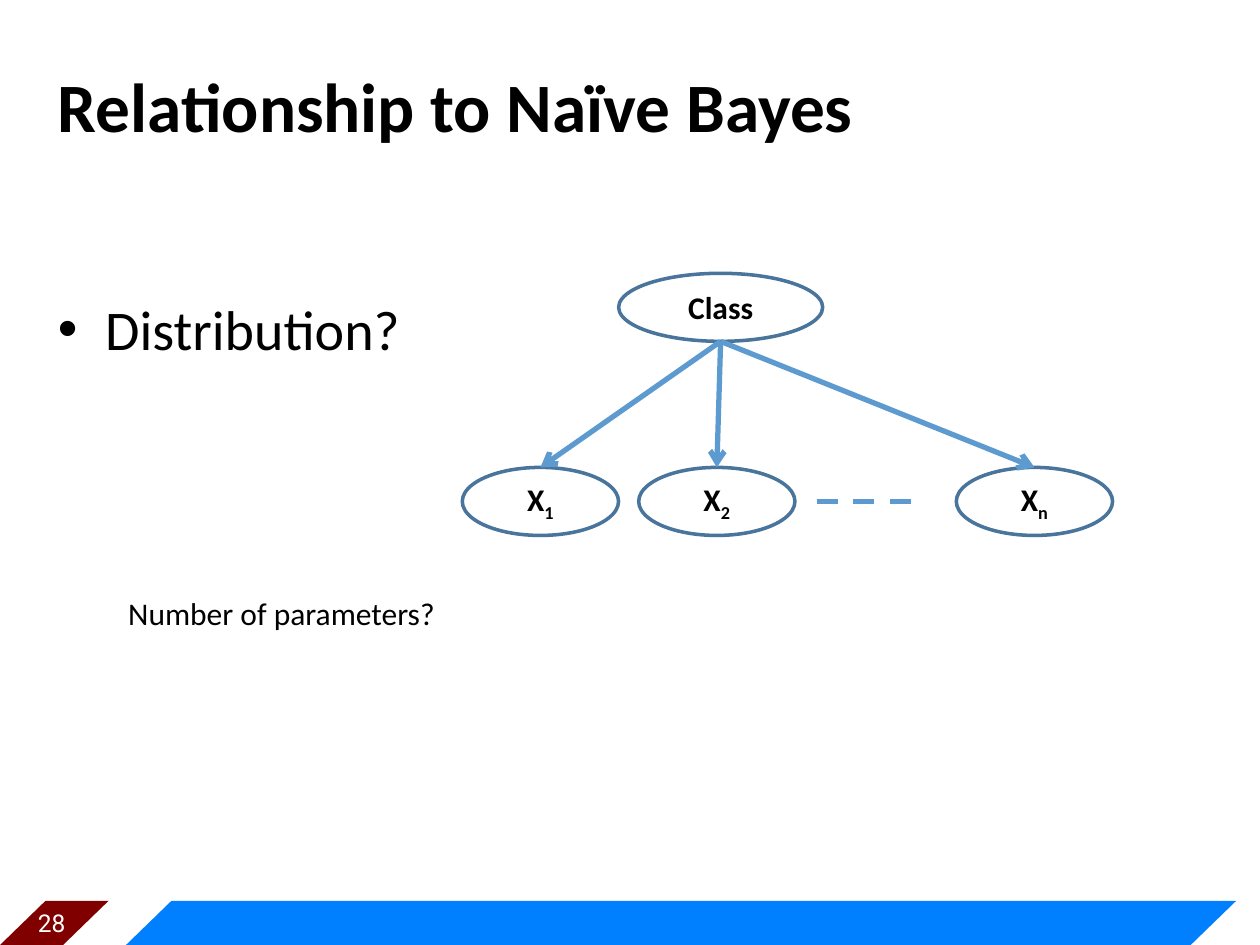
from pptx import Presentation
from pptx.dml.color import RGBColor
from pptx.enum.dml import MSO_LINE
from pptx.enum.shapes import MSO_CONNECTOR, MSO_SHAPE
from pptx.enum.text import MSO_ANCHOR, PP_ALIGN
from pptx.oxml.ns import qn
from pptx.util import Pt
from lxml import etree

STRAIGHT = MSO_CONNECTOR.STRAIGHT
DASH = MSO_LINE.DASH
ELLIPSE = MSO_SHAPE.OVAL
SLANT = MSO_SHAPE.PARALLELOGRAM
TOP, MIDDLE = MSO_ANCHOR.TOP, MSO_ANCHOR.MIDDLE
LEFT, CENTER = PP_ALIGN.LEFT, PP_ALIGN.CENTER
COLORS = {"text": "000000", "white": "FFFFFF", "bar": "0080FF",
          "badge": "800000", "outline": "49749B", "arrow": "5D9ACF"}


def rgb(name):
    return RGBColor.from_string(COLORS[name])


def write(sp, text, size=18, bold=False, color="text", font="Calibri",
          align=LEFT, anchor=TOP, sub="", inset=(7.2, 3.6)):
    tf = sp.text_frame
    tf.word_wrap = True
    tf.vertical_anchor = anchor
    tf.margin_left = tf.margin_right = Pt(inset[0])
    tf.margin_top, tf.margin_bottom = Pt(inset[1]), Pt(3.6)
    p = tf.paragraphs[0]
    p.alignment = align
    for part, base in ((text, None), (sub, "-25000")):
        if part:
            r = p.add_run()
            r.text = part
            r.font.size, r.font.bold, r.font.name = Pt(size), bold, font
            r.font.color.rgb = rgb(color)
            if base:
                r.font._element.set("baseline", base)
    return p


def add_text(s, box, text, **fmt):
    return write(s.shapes.add_textbox(*map(Pt, box)), text, **fmt)


def add_slant(s, box, color):
    sp = s.shapes.add_shape(SLANT, *map(Pt, box))
    sp.adjustments[0] = 1.03
    sp.shadow.inherit = False
    sp.fill.solid()
    sp.fill.fore_color.rgb = rgb(color)
    sp.line.fill.background()


def add_node(s, box, text, sub=""):
    sp = s.shapes.add_shape(ELLIPSE, *map(Pt, box))
    sp.shadow.inherit = False
    sp.fill.background()
    sp.line.color.rgb = rgb("outline")
    sp.line.width = Pt(2)
    write(sp, text, bold=True, align=CENTER, anchor=MIDDLE, sub=sub)


def add_line(s, start, end, arrow=False):
    cxn = s.shapes.add_connector(STRAIGHT, *map(Pt, start + end))
    cxn.line.color.rgb = rgb("arrow")
    cxn.line.width = Pt(3)
    if arrow:
        etree.SubElement(cxn.line._get_or_add_ln(), qn("a:tailEnd"), type="arrow")
    else:
        cxn.line.dash_style = DASH
    etree.SubElement(cxn._element.spPr, qn("a:effectLst"))


def add_footer(s, x, y, w, h):
    add_slant(s, (x + 72, y, w - 72, h), "bar")
    add_slant(s, (x, y, 63.4, h), "badge")
    add_text(s, (x + 10, y, 42, 24.5), "28", size=14, color="white",
             font="Roboto", align=CENTER, anchor=MIDDLE)


def add_body(s, x, y, w, h):
    p = add_text(s, (x, y, w, h), "Distribution?", size=32, inset=(7.2, 50.5))
    pPr = p._p.get_or_add_pPr()
    pPr.set("marL", str(Pt(27)))
    pPr.set("indent", str(-Pt(27)))
    etree.SubElement(pPr, qn("a:buFont"), typeface="Arial")
    etree.SubElement(pPr, qn("a:buChar"), char="•")


def add_network(s, x, y, w, h):
    node_w, node_h, root_w = 89.3, 38.9, 116.6
    root_x, leaf_y = x + node_w, y + h - node_h
    leaves = (("1", x), ("2", x + 100.8), ("n", x + w - node_w))
    add_node(s, (root_x, y, root_w, node_h), "Class")
    for sub, leaf_x in leaves:
        add_node(s, (leaf_x, leaf_y, node_w, node_h), "X", sub)
    for _, leaf_x in leaves:
        add_line(s, (root_x + root_w / 2, y + node_h),
                 (leaf_x + node_w / 2, leaf_y), arrow=True)
    mid_y = leaf_y + node_h / 2
    add_line(s, (x + 202.4, mid_y), (x + 263.6, mid_y))


def main():
    prs = Presentation()
    prs.slide_width, prs.slide_height = Pt(720), Pt(540)
    s = prs.slides.add_slide(prs.slide_layouts[6])
    add_footer(s, -1.4, 514.8, 707.8, 26.6)
    add_text(s, (26, 32.4, 674.6, 55.4), "Relationship to Naïve Bayes",
             size=39.6, bold=True, anchor=MIDDLE)
    add_body(s, 26, 118, 671.8, 370.8)
    add_network(s, 264.2, 156.2, 371.6, 149.8)
    add_text(s, (66.2, 336.2, 306, 28.8), "Number of parameters?")
    prs.save("out.pptx")


if __name__ == "__main__":
    main()
